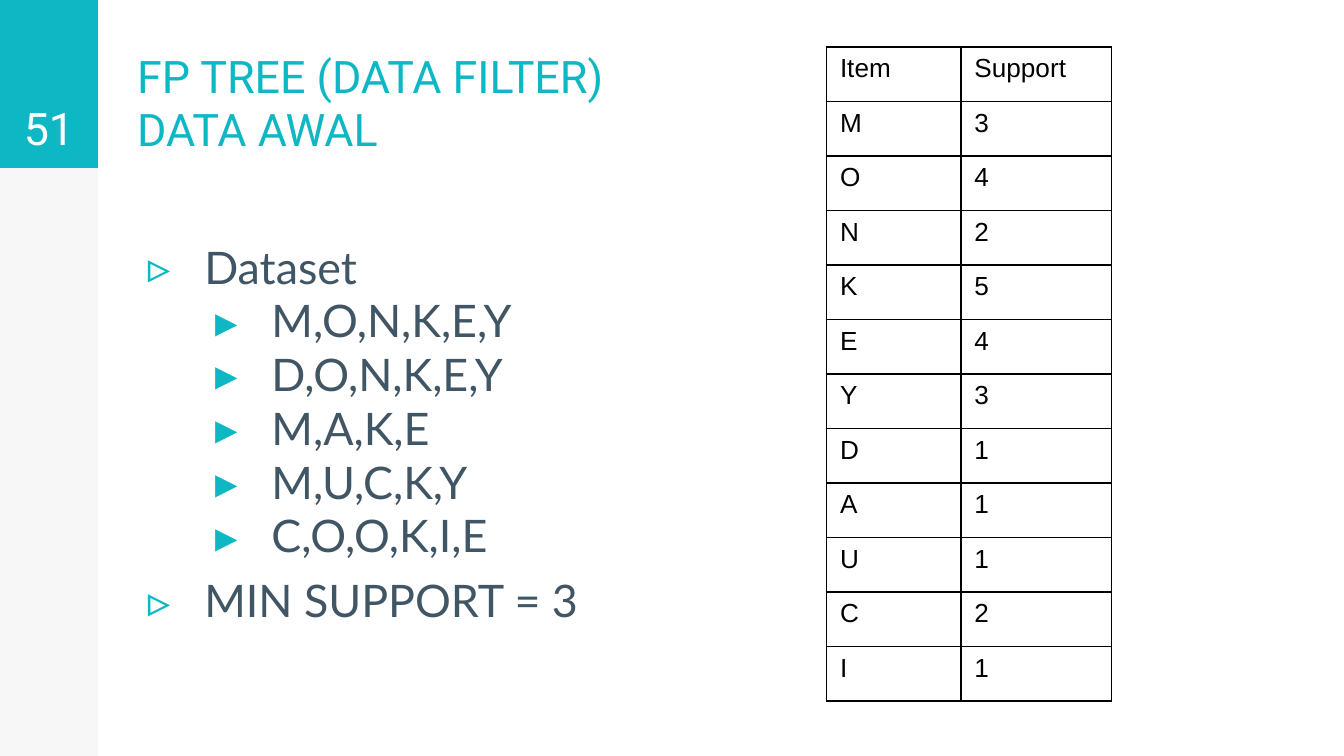
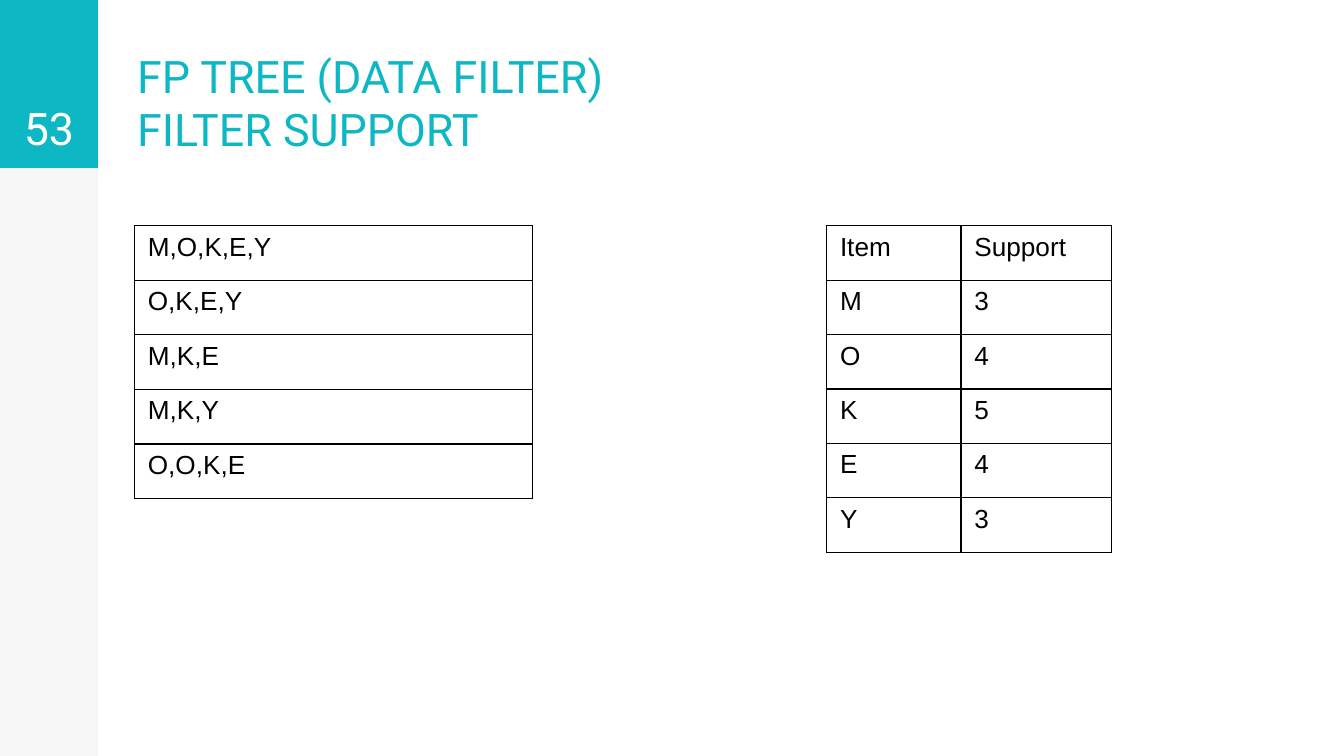
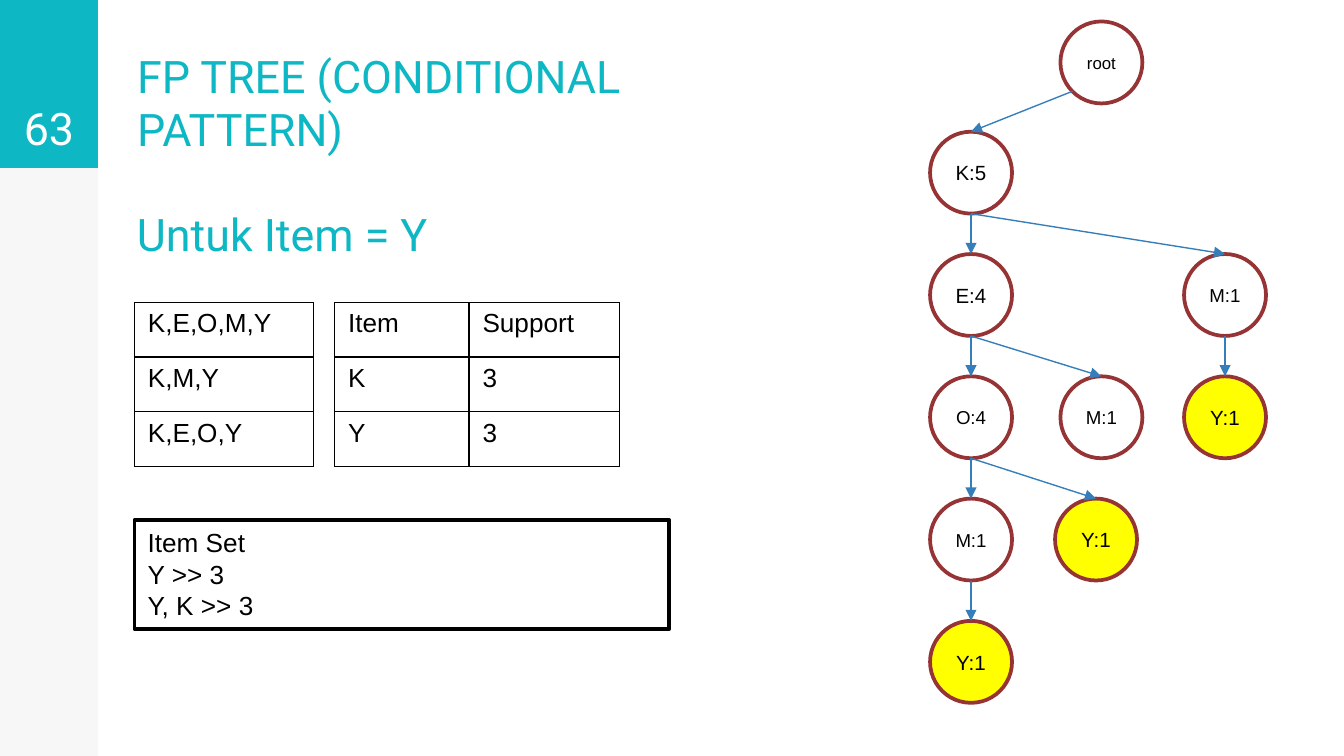
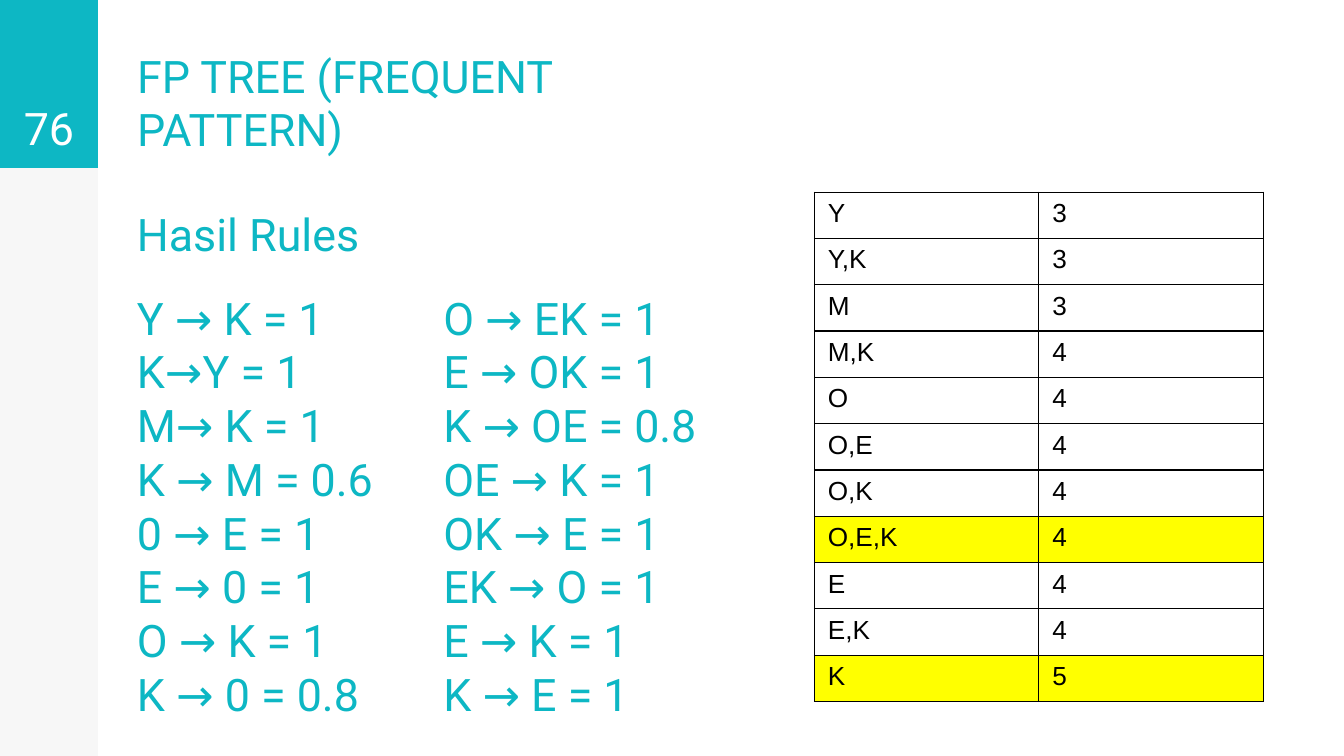
"""Build four slides on mining frequent patterns with an FP tree."""
import pptx
import pptx.util
from lxml import etree
from pptx.dml.color import RGBColor
from pptx.enum.shapes import MSO_CONNECTOR, MSO_SHAPE
from pptx.enum.text import MSO_ANCHOR, MSO_AUTO_SIZE, PP_ALIGN
from pptx.oxml.ns import qn

PX = 9144
COLORS = {
    "teal": "0DB7C4",
    "slate": "415665",
    "white": "FFFFFF",
    "black": "000000",
    "yellow": "FFFF00",
    "maroon": "963334",
    "blue": "367EB9",
}
HEADING = ("Roboto", 24, "teal")
NUMBER = ("Roboto", 24, "white")
BODY = ("Lato", 24, "slate")
CELL = ("Arial", 14, "black")
TITLE_AT = (92, 1, 389, 125)
SUBTITLE_AT = (92, 146, 389, 58)
NUMBER_AT = (0, 0, 73, 125)
ITEM_COLUMNS = (100, 112)
NODE_SIZE = 61
BOTTOM = (0.5, 1)
BOTTOM_LEFT = (0.15, 0.85)


def emu(*lengths):
    return [length * PX for length in lengths]


def rgb(name):
    return RGBColor.from_string(COLORS[name])


def add_element(parent, tag, **attributes):
    return etree.SubElement(parent, qn(tag), attributes)


def set_font(para, style):
    name, size, color = style
    para.font.name = name
    para.font.size = pptx.util.Pt(size)
    para.font.color.rgb = rgb(color)


def write(frame, lines, style, align=PP_ALIGN.LEFT, anchor=MSO_ANCHOR.TOP, margin=10):
    frame.word_wrap = True
    frame.auto_size = MSO_AUTO_SIZE.NONE
    frame.vertical_anchor = anchor
    frame.margin_left = frame.margin_right = margin * PX
    frame.margin_top = frame.margin_bottom = margin * PX
    for index, line in enumerate(lines):
        para = frame.paragraphs[0] if index == 0 else frame.add_paragraph()
        para.text = line
        para.alignment = align
        set_font(para, style)


def place(shape, box):
    shape.left, shape.top, shape.width, shape.height = emu(*box)


def add_text(page, box, lines, style, **layout):
    text_box = page.shapes.add_textbox(*emu(*box))
    write(text_box.text_frame, lines, style, **layout)


def add_filled(page, kind, box, fill, line=None):
    shape = page.shapes.add_shape(kind, *emu(*box))
    shape.shadow.inherit = False
    shape.fill.solid()
    shape.fill.fore_color.rgb = rgb(fill)
    if line:
        shape.line.color.rgb = rgb(line)
        shape.line.width = pptx.util.Pt(2)
    else:
        shape.line.fill.background()
    return shape


def add_master_bands(deck, page):
    side = add_filled(page, MSO_SHAPE.RECTANGLE, (0, 0, 73, 562), "black")
    side.height = deck.slide_height
    tint = side.element.spPr.find(".//" + qn("a:srgbClr"))
    add_element(tint, "a:alpha", val="3000")
    corner = add_filled(page, MSO_SHAPE.RECTANGLE, NUMBER_AT, "teal")
    for index, band in enumerate((side, corner)):
        band.element.xpath("./p:nvSpPr/p:cNvPr")[0].set("id", str(101 + index))
        deck.slide_master.shapes.element.insert(2 + index, band.element)


def add_page(deck, layout, number, title):
    page = deck.slides.add_slide(deck.slide_layouts.get_by_name(layout))
    place(page.shapes.title, TITLE_AT)
    write(page.shapes.title.text_frame, [title], HEADING, anchor=MSO_ANCHOR.BOTTOM)
    add_text(page, NUMBER_AT, [number], NUMBER,
             align=PP_ALIGN.CENTER, anchor=MSO_ANCHOR.BOTTOM)
    return page


def add_subtitle(page, text):
    add_text(page, SUBTITLE_AT, [text], HEADING, anchor=MSO_ANCHOR.BOTTOM)


def fill_bullets(holder, box, items):
    place(holder, box)
    frame = holder.text_frame
    write(frame, [text for level, text in items], BODY)
    for index, (para, (level, text)) in enumerate(zip(frame.paragraphs, items)):
        para.level = level
        para.font._element.getparent().remove(para.font._element)
        props = para._p.get_or_add_pPr()
        props.set("marL", str((level + 1) * 50 * PX))
        props.set("indent", str(-42 * PX))
        tint = add_element(props, "a:buClr")
        add_element(tint, "a:srgbClr", val=COLORS["teal"])
        add_element(props, "a:buFont", typeface=BODY[0])
        add_element(props, "a:buChar", char="▸" if level else "▹")
        para.space_before = pptx.util.Pt(6 if index and level == 0 else 0)
        set_font(para, BODY)


def add_borders(cell):
    props = cell._tc.get_or_add_tcPr()
    for side in ("a:lnL", "a:lnR", "a:lnT", "a:lnB"):
        line = add_element(props, side, w=str(pptx.util.Pt(0.75)))
        fill = add_element(line, "a:solidFill")
        add_element(fill, "a:srgbClr", val=COLORS["black"])


def add_grid(page, left, top, height, widths, rows, marked=()):
    box = emu(left, top, sum(widths), height)
    table = page.shapes.add_table(len(rows), len(widths), *box).table
    table.first_row = table.horz_banding = False
    for column, width in zip(table.columns, widths):
        column.width = width * PX
    for row, values in zip(table.rows, rows):
        for cell, value in zip(row.cells, values):
            cell.text = value
            set_font(cell.text_frame.paragraphs[0], CELL)
            add_borders(cell)
            if values[0] in marked:
                cell.fill.solid()
                cell.fill.fore_color.rgb = rgb("yellow")
            else:
                cell.fill.background()


def item_rows(pairs):
    return [("Item", "Support")] + [tuple(pair.split(":")) for pair in pairs.split()]


def add_node(page, left, top, label, size):
    fill = "yellow" if label.startswith("Y") else "white"
    box = (left, top, NODE_SIZE, NODE_SIZE)
    node = add_filled(page, MSO_SHAPE.OVAL, box, fill, "maroon")
    write(node.text_frame, [label], ("Arial", size, "black"),
          align=PP_ALIGN.CENTER, anchor=MSO_ANCHOR.MIDDLE, margin=0)
    node.text_frame.word_wrap = False
    return node


def add_branch(page, parent, child, start=BOTTOM):
    across, down = start
    left = int(parent.left + across * parent.width)
    top = int(parent.top + down * parent.height)
    branch = page.shapes.add_connector(MSO_CONNECTOR.STRAIGHT, left, top, left, top)
    branch.end_connect(child, 0)
    branch.line.color.rgb = rgb("blue")
    branch.line.width = pptx.util.Pt(0.75)
    props = branch.element.spPr
    add_element(props.find(qn("a:ln")), "a:tailEnd", type="triangle")
    add_element(props, "a:effectLst")


def add_tree(page):
    levels = [98 + 91 * step for step in range(5)]
    root = add_node(page, 789, 16, "root", 9)
    trunk = [
        add_node(page, 692, top, label, size)
        for top, (label, size) in zip(
            levels, [("K:5", 11), ("E:4", 11), ("O:4", 10), ("M:1", 10), ("Y:1", 11)])
    ]
    under_o = add_node(page, 785, levels[3], "Y:1", 11)
    under_e = add_node(page, 789, levels[2], "M:1", 10)
    under_k = add_node(page, 881, levels[1], "M:1", 10)
    last = add_node(page, 881, levels[2], "Y:1", 11)
    add_branch(page, root, trunk[0], BOTTOM_LEFT)
    for parent, child in zip(trunk, trunk[1:]):
        add_branch(page, parent, child)
    for parent, child in zip(trunk, (under_k, under_e, under_o)):
        add_branch(page, parent, child)
    add_branch(page, under_k, last)


def add_initial_data(deck):
    page = add_page(deck, "Title and Content", "51", "FP TREE (DATA FILTER)\nDATA AWAL")
    add_master_bands(deck, page)
    words = ("M,O,N,K,E,Y", "D,O,N,K,E,Y", "M,A,K,E", "M,U,C,K,Y", "C,O,O,K,I,E")
    items = [(0, "Dataset"), *((1, word) for word in words), (0, "MIN SUPPORT = 3")]
    fill_bullets(page.placeholders[1], (92, 168, 565, 371), items)
    rows = item_rows("M:3 O:4 N:2 K:5 E:4 Y:3 D:1 A:1 U:1 C:2 I:1")
    add_grid(page, 615, 35, 487, ITEM_COLUMNS, rows)


def add_filtered_data(deck):
    page = add_page(deck, "Title Only", "53", "FP TREE (DATA FILTER)\nFILTER SUPPORT")
    add_grid(page, 615, 168, 243, ITEM_COLUMNS, item_rows("M:3 O:4 K:5 E:4 Y:3"))
    baskets = [("M,O,K,E,Y",), ("O,K,E,Y",), ("M,K,E",), ("M,K,Y",), ("O,O,K,E",)]
    add_grid(page, 100, 168, 203, (296,), baskets)


def add_conditional_pattern(deck):
    page = add_page(deck, "Title Only", "63", "FP TREE (CONDITIONAL PATTERN)")
    add_subtitle(page, "Untuk Item = Y")
    add_grid(page, 100, 225, 122, (133,), [("K,E,O,M,Y",), ("K,M,Y",), ("K,E,O,Y",)])
    add_grid(page, 249, 225, 122, ITEM_COLUMNS, item_rows("K:3 Y:3"))
    add_tree(page)
    result = add_filled(page, MSO_SHAPE.RECTANGLE, (100, 387, 398, 81), "white", "black")
    write(result.text_frame, ["Item Set", "Y >> 3", "Y, K >> 3"], CELL)
    result.text_frame.margin_top = result.text_frame.margin_bottom = 5 * PX


def add_rules(deck):
    page = add_page(deck, "Title Only", "76", "FP TREE (FREQUENT PATTERN)")
    add_subtitle(page, "Hasil Rules")
    supports = [
        ("Y", "3"), ("Y,K", "3"), ("M", "3"), ("M,K", "4"), ("O", "4"), ("O,E", "4"),
        ("O,K", "4"), ("O,E,K", "4"), ("E", "4"), ("E,K", "4"), ("K", "5"),
    ]
    add_grid(page, 606, 143, 379, (167, 167), supports, marked=("O,E,K", "K"))
    add_text(page, (92, 206, 219, 279), [
        "Y → K = 1", "K→Y = 1", "M→ K = 1", "K → M = 0.6",
        "0 → E = 1", "E → 0 = 1", "O → K = 1", "K → 0 = 0.8",
    ], HEADING)
    add_text(page, (320, 206, 221, 279), [
        "O → EK = 1", "E → OK = 1", "K → OE = 0.8", "OE → K = 1",
        "OK → E = 1", "EK → O = 1", "E → K = 1", "K → E = 1",
    ], HEADING)


def main():
    deck = pptx.Presentation()
    deck.slide_width = 1000 * PX
    deck.slide_height = deck.slide_width * 9 // 16
    add_initial_data(deck)
    add_filtered_data(deck)
    add_conditional_pattern(deck)
    add_rules(deck)
    deck.save("out.pptx")


if __name__ == "__main__":
    main()
